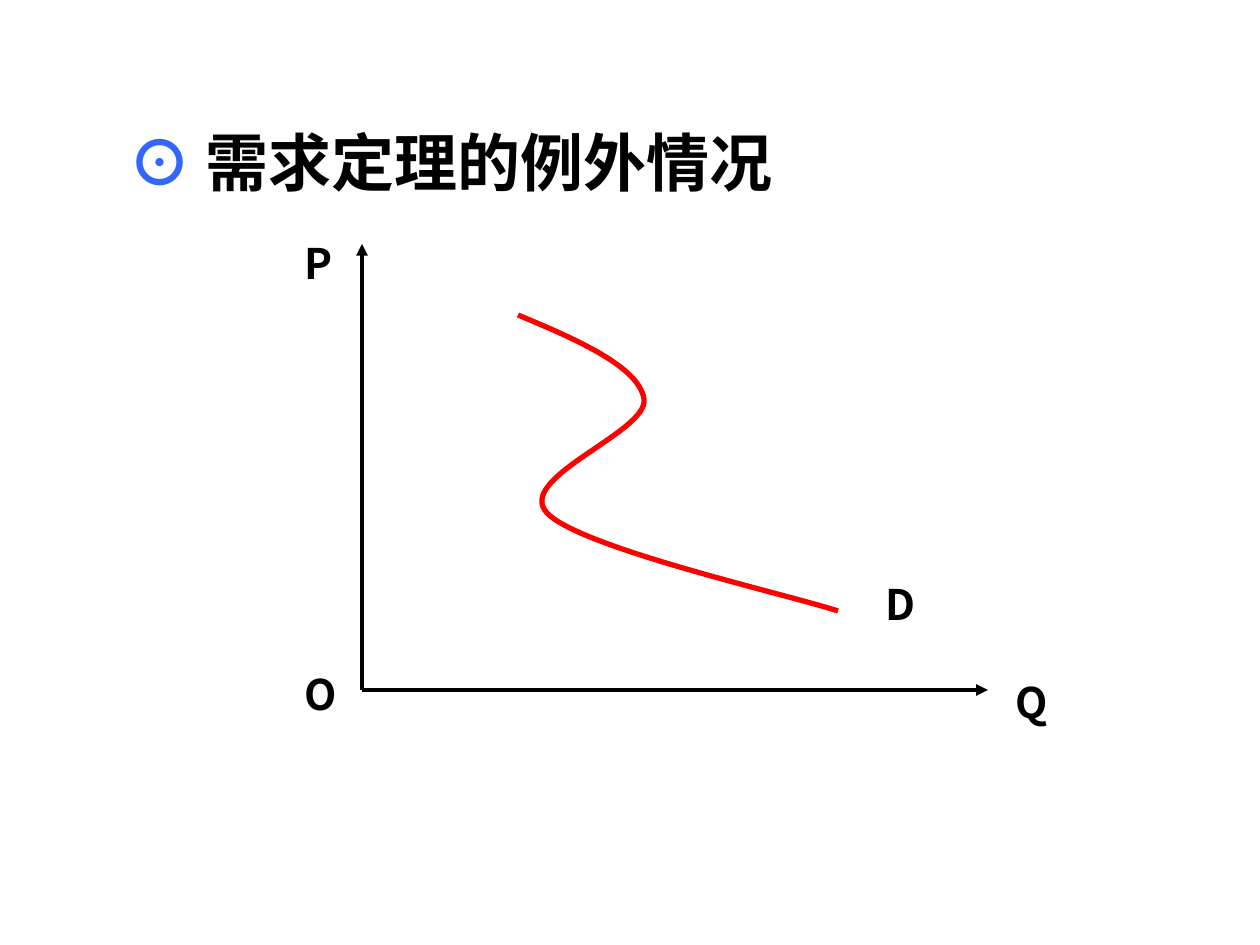
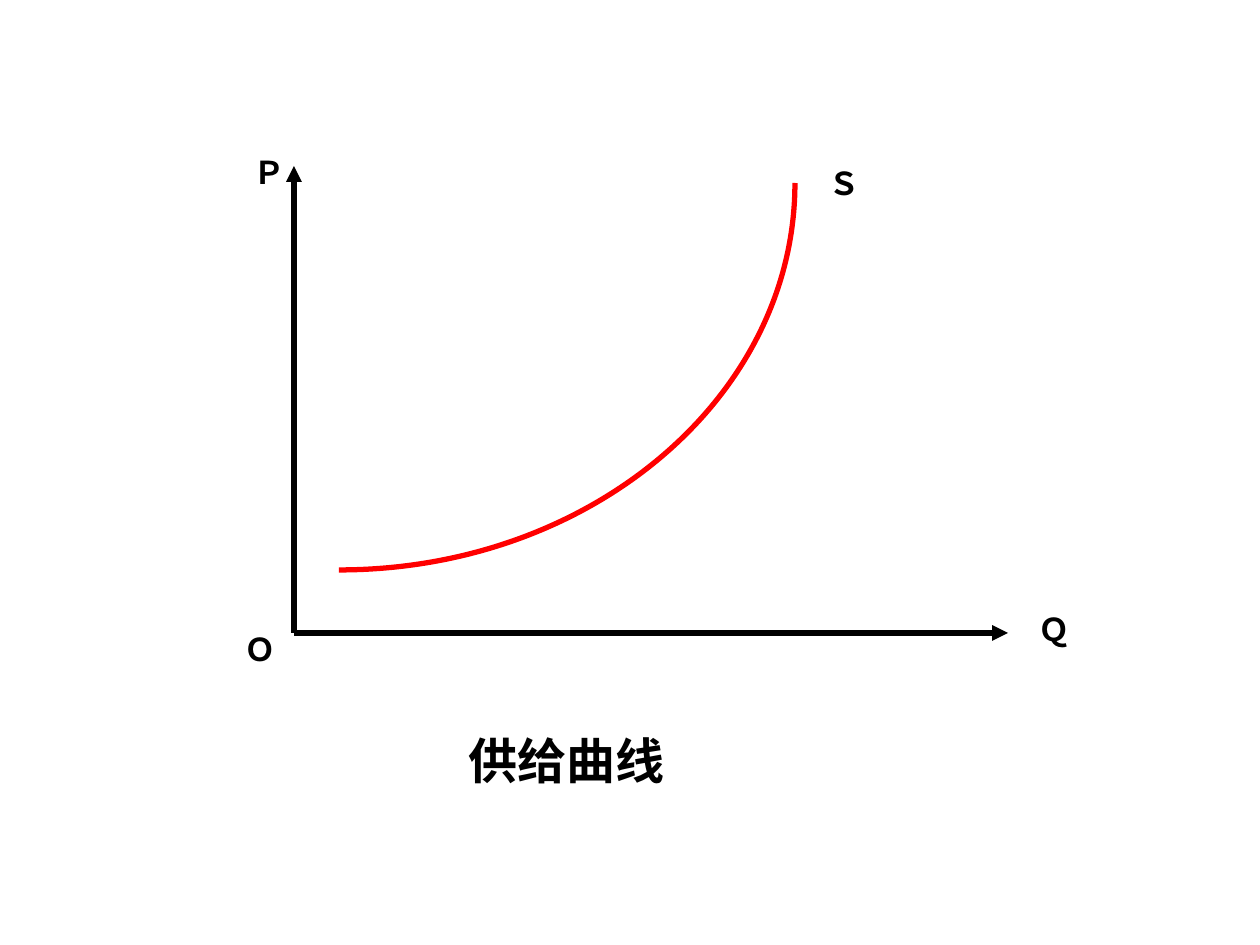
from pptx import Presentation
from pptx.dml.color import RGBColor
from pptx.enum.text import MSO_AUTO_SIZE as Fit, PP_ALIGN as Align
from pptx.oxml.ns import qn
from pptx.util import Emu, Pt
from lxml.etree import SubElement as sub

BLACK = RGBColor(0, 0, 0)
RED = RGBColor(255, 0, 0)
BLUE = RGBColor(51, 102, 255)
LATIN = "Arial"
HAN = "Noto Sans CJK SC"


def px(n):
    return Emu(round(n * 914400 / 126))


def write(para, text, size=24, font=HAN, color=BLACK):
    run = para.add_run()
    run.text = text
    run.font.size = Pt(size)
    run.font.bold = True
    run.font.name = font
    run.font.color.rgb = color
    sub(run.font._element, qn("a:ea")).set("typeface", HAN)


def add_text(slide, text, x, y, w, h, wrap=False, align=Align.LEFT, **style):
    box = slide.shapes.add_textbox(px(x), px(y), px(w), px(h))
    frame = box.text_frame
    frame.word_wrap = wrap
    frame.auto_size = Fit.SHAPE_TO_FIT_TEXT
    para = frame.paragraphs[0]
    para.alignment = align
    write(para, text, **style)


def add_title(slide, mark, text):
    body = slide.placeholders[1]
    body.left, body.top, body.width, body.height = map(px, (116, 126, 1017, 83))
    frame = body.text_frame
    frame.auto_size = Fit.NONE
    para = frame.paragraphs[0]
    props = para._p.get_or_add_pPr()
    props.set("marL", str(px(48)))
    props.set("indent", str(px(-48)))
    sub(props, qn("a:buNone"))
    para.line_spacing = 0.9
    para.space_before = Pt(0)
    write(para, mark, size=36, font=LATIN, color=BLUE)
    write(para, text, size=36)


def add_axis(slide, start, end, width):
    line = slide.shapes.add_connector(1, *map(px, start + end))
    line.line.color.rgb = BLACK
    line.line.width = Pt(width)
    sub(line.line._get_or_add_ln(), qn("a:tailEnd")).set("type", "triangle")
    sub(line._element.spPr, qn("a:effectLst"))


def add_axes(slide, x, y, right, top, width):
    add_axis(slide, (x, y), (right, y), width)
    add_axis(slide, (x, y), (x, top), width)


def add_curve(slide, start, *knots):
    pen = slide.shapes.build_freeform(px(start[0]), px(start[1]))
    pen.add_line_segments([(px(x), px(y)) for x, y in knots], close=False)
    curve = pen.convert_to_shape()
    curve.shadow.inherit = False
    curve.fill.background()
    curve.line.color.rgb = RED
    curve.line.width = Pt(3)
    trail = next(curve._element.iter(qn("a:path")))
    steps = trail.findall(qn("a:lnTo"))
    for i in range(0, len(steps), 3):
        bend = sub(trail, qn("a:cubicBezTo"))
        for step in steps[i:i + 3]:
            bend.append(step[0])
            trail.remove(step)


def add_names(slide, names, w, h, **style):
    for text, x, y in names:
        add_text(slide, text, x, y, w, h, **style)


def draw_demand(deck):
    slide = deck.slides.add_slide(deck.slide_layouts[1])
    title = slide.shapes.title._element
    title.getparent().remove(title)
    add_axes(slide, 362, 690, 988, 244, 2.25)
    add_curve(slide, (518, 315),
              (578, 340), (639, 367), (644, 399),
              (649, 432), (514, 478), (547, 513),
              (580, 548), (790, 595), (838, 611))
    names = [("Q", 1003, 670), ("O", 292, 662), ("P", 292, 231), ("D", 873, 572)]
    add_names(slide, names, 50, 63)
    add_title(slide, "⊙ ", "需求定理的例外情况")


def draw_supply(deck):
    slide = deck.slides.add_slide(deck.slide_layouts[6])
    add_axes(slide, 294, 633, 1008, 166, 3)
    add_curve(slide, (339, 570), (591, 570), (795, 397), (795, 183))
    names = [("Ｏ", 232, 624), ("Ｑ", 1026, 604), ("Ｐ", 241, 147), ("Ｓ", 816, 158)]
    add_names(slide, names, 57, 50, size=18, font=LATIN)
    add_text(slide, "供给曲线", 346, 724, 441, 72, wrap=True,
             align=Align.CENTER, size=28, font=LATIN)


def main():
    deck = Presentation()
    deck.slide_width, deck.slide_height = px(1260), px(945)
    draw_demand(deck)
    draw_supply(deck)
    deck.save("out.pptx")


if __name__ == "__main__":
    main()
